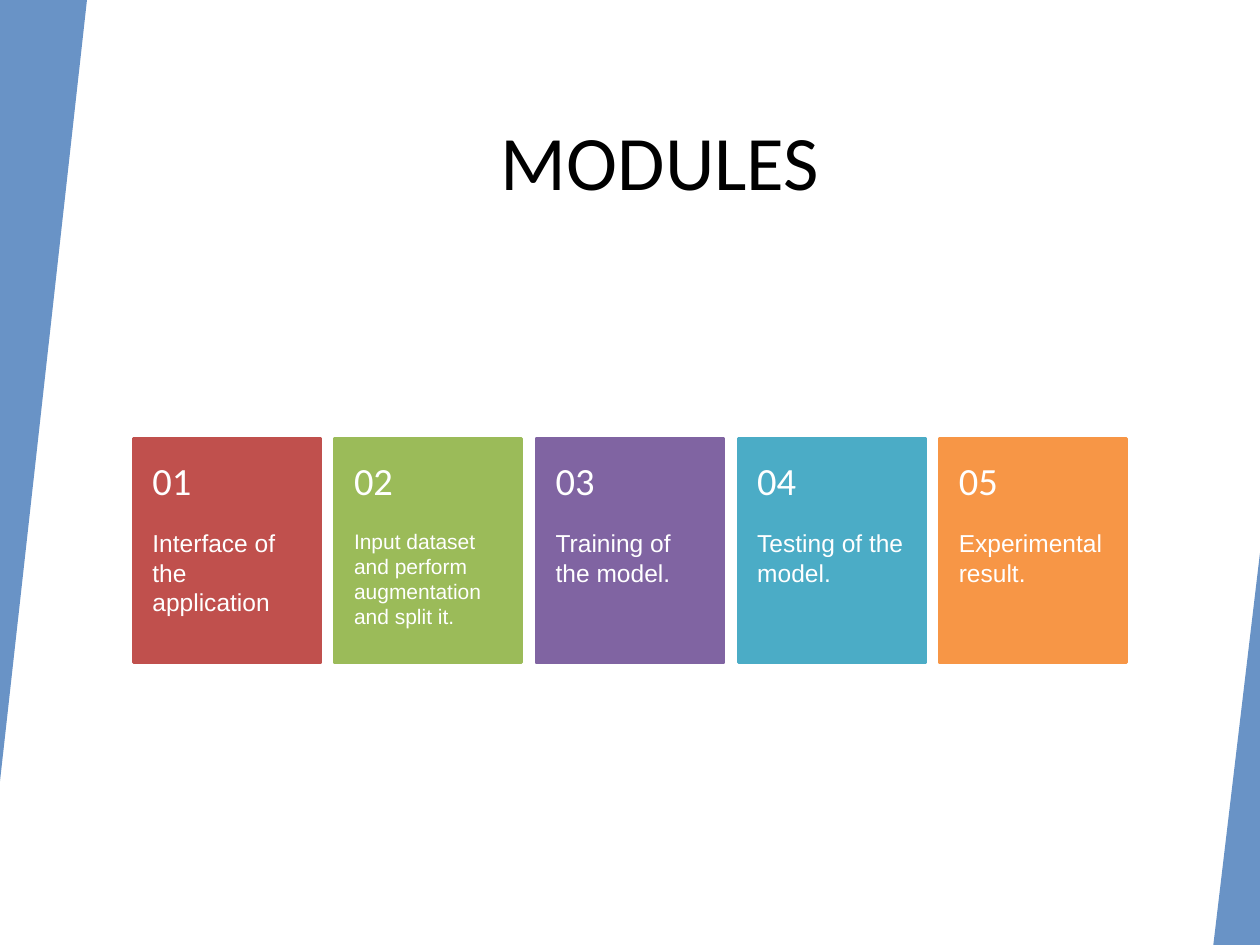
from lxml import etree
from pptx import Presentation
from pptx import util as u
from pptx.dml.color import RGBColor
from pptx.enum import shapes, text
from pptx.oxml.ns import qn

WIDTH, HEIGHT = 10, 7.5
WHITE = RGBColor(0xFF, 0xFF, 0xFF)
BLACK = RGBColor(0, 0, 0)
BLUE = RGBColor(0x4F, 0x81, 0xBD)
RED = RGBColor(0xC0, 0x50, 0x4D)
GREEN = RGBColor(0x9B, 0xBB, 0x59)
PURPLE = RGBColor(0x80, 0x64, 0xA2)
TEAL = RGBColor(0x4B, 0xAC, 0xC6)
ORANGE = RGBColor(0xF7, 0x96, 0x46)

GRID_LEFT, GRID_TOP = 1.06, 3.48
COLUMN_STEP = 1.6
CARD_WIDTH, CARD_HEIGHT = 1.48, 1.78
NUMBER_HEIGHT = 0.4 * CARD_HEIGHT

MODULES = [
    ("Interface of the application", RED, 14),
    ("Input dataset and perform augmentation and split it.", GREEN, 12),
    ("Training of the model.", PURPLE, 14),
    ("Testing of the model.", TEAL, 14),
    ("Experimental result.", ORANGE, 14),
]


def box(left, top, width, height):
    return [u.Inches(value) for value in (left, top, width, height)]


def add_label(slide, area, words, size, font, color, margins,
              anchor=text.MSO_ANCHOR.TOP, align=text.PP_ALIGN.LEFT, spacing=1.0):
    frame = slide.shapes.add_textbox(*box(*area)).text_frame
    frame.word_wrap = True
    frame.vertical_anchor = anchor
    (frame.margin_left, frame.margin_top,
     frame.margin_right, frame.margin_bottom) = box(*margins)
    frame.text = words
    paragraph = frame.paragraphs[0]
    paragraph.alignment = align
    paragraph.line_spacing = spacing
    run_font = paragraph.runs[0].font
    run_font.size = u.Pt(size)
    run_font.name = font
    run_font.color.rgb = color


def add_solid(slide, kind, area, color):
    shape = slide.shapes.add_shape(kind, *box(*area))
    shape.shadow.inherit = False
    shape.fill.solid()
    shape.fill.fore_color.rgb = color
    return shape


def add_card(slide, column, words, color, size):
    left = GRID_LEFT + column * COLUMN_STEP
    card = add_solid(slide, shapes.MSO_SHAPE.RECTANGLE,
                     (left, GRID_TOP, CARD_WIDTH, CARD_HEIGHT), color)
    card.line.color.rgb = color
    card.line.width = u.Pt(2)
    add_label(slide, (left, GRID_TOP + NUMBER_HEIGHT, CARD_WIDTH, CARD_HEIGHT - NUMBER_HEIGHT),
              words, size, "Arial", WHITE, (0.15, 0, 0.15, 0.36))
    add_label(slide, (left, GRID_TOP, CARD_WIDTH, NUMBER_HEIGHT),
              f"{column + 1:02d}", 22, "Calibri", WHITE, (0.15, 0.18, 0.15, 0.18),
              anchor=text.MSO_ANCHOR.MIDDLE, spacing=0.9)


def add_corner(slide, area, rotation=0):
    corner = add_solid(slide, shapes.MSO_SHAPE.ISOSCELES_TRIANGLE, area, BLUE)
    corner.adjustments[0] = 1
    corner.rotation = rotation
    corner.line.fill.background()
    fill_color = corner.fill._xPr.find(qn("a:solidFill"))[0]
    etree.SubElement(fill_color, qn("a:alpha"), val="85000")


def main():
    presentation = Presentation()
    presentation.slide_width = u.Inches(WIDTH)
    presentation.slide_height = u.Inches(HEIGHT)
    slide = presentation.slides.add_slide(presentation.slide_layouts[6])
    add_label(slide, (GRID_LEFT, 0.67, 8.36, 1.2), "MODULES", 44, "Calibri", BLACK,
              (0.1, 0.05, 0.1, 0.05), anchor=text.MSO_ANCHOR.MIDDLE,
              align=text.PP_ALIGN.CENTER)
    for column, (words, color, size) in enumerate(MODULES):
        add_card(slide, column, words, color, size)
    add_corner(slide, (0, 0, 0.69, 6.2), rotation=180)
    add_corner(slide, (WIDTH - 0.37, HEIGHT - 3.11, 0.37, 3.11))
    presentation.save("out.pptx")


if __name__ == "__main__":
    main()
